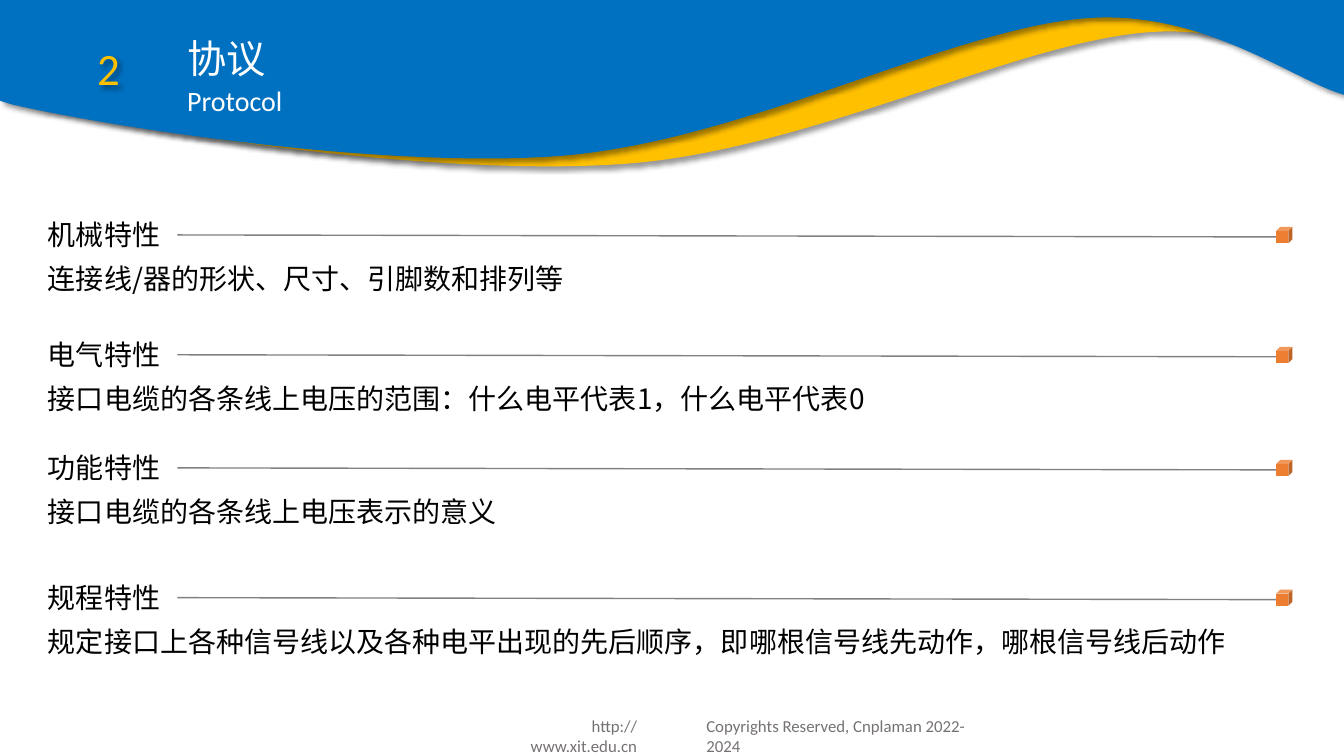
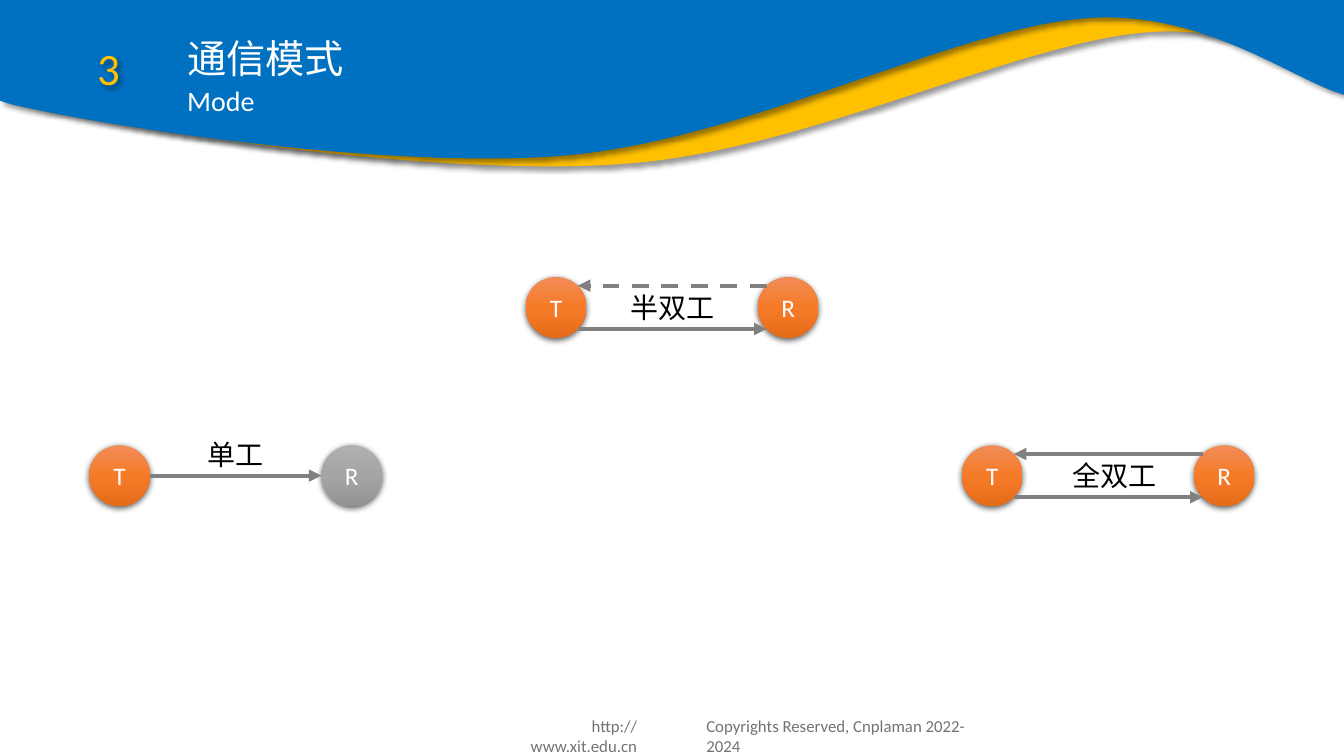
from copy import deepcopy
from dataclasses import dataclass

from lxml import etree
from pptx import Presentation
from pptx.dml.color import RGBColor
from pptx.enum import dml, shapes, text
from pptx.oxml import ns
from pptx.util import Cm, Pt

ALIGN = text.PP_ALIGN
ANCHOR = text.MSO_ANCHOR
SHAPE = shapes.MSO_SHAPE


@dataclass(frozen=True)
class Theme:
    wide: float = 33.87
    high: float = 19.05
    latin: str = "Calibri"
    hans: str = "Noto Sans CJK SC"
    blue: str = "0070C0"
    gold: str = "FFC000"
    white: str = "FFFFFF"
    black: str = "000000"
    grey: str = "808080"
    foot: str = "767171"
    cube: str = "ED7D31"
    warm: tuple = ("F18C57", "F67B28", "E56C19")
    cool: tuple = ("AFAFAF", "A5A5A5", "939393")
    title: int = 28
    body: int = 20
    number: int = 32
    node: int = 18
    small: int = 12
    # opacity in percent, blur and distance in points, angle in degrees
    cast: tuple = (40, 4, 3, 45)
    drop: tuple = (63, 4.5, 1.5, 90)


T = Theme()

# Placeholder index: left, top, width, height
HEAD = {
    0: (4.46, 0.73, 16.92, 1.45),
    1: (4.46, 1.98, 15.19, 1.12),
    2: (1.45, 1.04, 2.57, 1.5),
}

# Two numbers are a point, six are a Bezier curve
GOLD_WAVE = [
    (0.56, 0), (33.87, 0), (33.87, 1.98), (33.35, 1.73),
    (32.16, 1.22, 30.68, 0.69, 28.98, 0.81),
    (25.6, 1.04, 20.27, 3.86, 15.57, 4.14),
    (10.87, 4.45, 3.28, 3.3, 0.81, 2.62),
    (0.64, 2.57, 0.48, 2.52, 0.33, 2.46),
    (0, 2.36), (0, 0.05),
]
BLUE_WAVE = [
    (0, 0), (33.87, 0), (33.87, 2.39), (33.63, 2.31),
    (32.28, 1.8, 30.15, 0.25, 27.38, 0.46),
    (23.95, 0.71, 18.64, 3.63, 13.97, 3.94),
    (9.86, 4.22, 3.53, 3.35, 0.33, 2.64),
    (0, 2.54),
]

TRAITS = [
    (5.36, "机械特性", "连接线/器的形状、尺寸、引脚数和排列等"),
    (8.38, "电气特性", "接口电缆的各条线上电压的范围：什么电平代表1，什么电平代表0"),
    (11.23, "功能特性", "接口电缆的各条线上电压表示的意义"),
    (14.5, "规程特性",
     "规定接口上各种信号线以及各种电平出现的先后顺序，即哪根信号线先动作，哪根信号线后动作"),
]


def color(code):
    return RGBColor.from_string(code)


def node(parent, tag, **attrs):
    """Append a DrawingML element to parent."""
    kid = etree.SubElement(parent, ns.qn(tag))
    for key, value in attrs.items():
        kid.set(key, str(value))
    return kid


def shade(shape, alpha, blur, dist, angle):
    shape.shadow.inherit = False
    effects = shape.element.spPr.find(ns.qn("a:effectLst"))
    outer = node(effects, "a:outerShdw", blurRad=Pt(blur), dist=Pt(dist),
                 dir=angle * 60000, algn="ctr", rotWithShape=0)
    ink = node(outer, "a:srgbClr", val=T.black)
    node(ink, "a:alpha", val=alpha * 1000)


def write(shape, words, size=T.body, font=T.hans, ink=T.black,
          align=ALIGN.LEFT, anchor=ANCHOR.TOP, wrap=True, plain=False,
          space=1.0):
    """Set the text of a shape; plain drops the bullet and indent."""
    frame = shape.text_frame
    frame.word_wrap = wrap
    frame.auto_size = text.MSO_AUTO_SIZE.NONE
    frame.vertical_anchor = anchor
    para = frame.paragraphs[0]
    if plain:
        props = para._p.get_or_add_pPr()
        props.set("marL", "0")
        props.set("indent", "0")
        node(props, "a:buNone")
    para.alignment = align
    para.line_spacing = space
    para.space_before = Pt(0)
    run = para.add_run()
    run.text = words
    run.font.size = Pt(size)
    run.font.name = font
    run.font.color.rgb = color(ink)
    node(run._r.get_or_add_rPr(), "a:ea", typeface=font)


def label(slide, words, box, **style):
    shape = slide.shapes.add_textbox(*map(Cm, box))
    write(shape, words, **style)
    return shape


def form(slide, kind, box):
    """Add a preset shape without line or shadow."""
    shape = slide.shapes.add_shape(kind, *map(Cm, box))
    shape.line.fill.background()
    shape.shadow.inherit = False
    return shape


def line(slide, start, end, width=1, arrow=False, dash=False):
    link = slide.shapes.add_connector(
        shapes.MSO_CONNECTOR.STRAIGHT, *map(Cm, start + end))
    link.line.color.rgb = color(T.grey)
    link.line.width = Pt(width)
    if dash:
        link.line.dash_style = dml.MSO_LINE.DASH
    if arrow:
        node(link.line._get_or_add_ln(), "a:tailEnd", type="triangle")
    node(link.element.spPr, "a:effectLst")


def bend(shape, steps):
    """Turn the straight segments that have handles into Bezier curves."""
    segments = shape.element.xpath(".//a:path/a:lnTo")
    for segment, step in zip(segments, steps):
        if len(step) == 6:
            curve = etree.Element(ns.qn("a:cubicBezTo"))
            for x, y in zip(step[::2], step[1::2]):
                node(curve, "a:pt", x=Cm(x), y=Cm(y))
            segment.getparent().replace(segment, curve)


def wave(slide, steps, fill):
    """Draw a band whose outline starts at the slide's top left corner."""
    first, *rest = [tuple(map(Cm, step[-2:])) for step in steps]
    pen = slide.shapes.build_freeform(*first)
    pen.add_line_segments(rest, close=True)
    shape = pen.convert_to_shape()
    bend(shape, steps[1:])
    shape.fill.solid()
    shape.fill.fore_color.rgb = color(fill)
    shape.line.fill.background()
    shade(shape, *T.cast)
    return shape


def dress(layout, slide):
    """Place the layout's heads and move bands and footers into it."""
    for holder in list(layout.placeholders):
        box = HEAD.get(holder.placeholder_format.idx)
        if box:
            (holder.left, holder.top,
             holder.width, holder.height) = map(Cm, box)
        else:
            layout.shapes.element.remove(holder.element)
    style = dict(size=T.small, font=T.latin, ink=T.foot)
    parts = [
        label(slide, "Copyrights Reserved, Cnplaman 2022-2024",
              (17.55, 17.91, 7.32, 0.76), **style),
        label(slide, "http://www.xit.edu.cn",
              (12.32, 17.91, 3.99, 0.76), align=ALIGN.RIGHT, **style),
        wave(slide, GOLD_WAVE, T.gold),
        wave(slide, BLUE_WAVE, T.blue),
    ]
    for index, part in enumerate(parts, 100):
        part.element.xpath(".//p:cNvPr")[0].set("id", str(index))
        layout.shapes.element.append(part.element)


def head(slide, number, title, sub):
    write(slide.shapes.title, title, size=T.title, ink=T.white, plain=True)
    write(slide.placeholders[1], sub, font=T.latin, ink=T.white, plain=True)
    mark = slide.placeholders[2]
    write(mark, number, size=T.number, font=T.latin, ink=T.gold, plain=True,
          align=ALIGN.CENTER, anchor=ANCHOR.MIDDLE, space=0.9)
    shade(mark, *T.cast)


def trait(slide, top, name, words):
    left, tall, stop = 0.96, 1.11, 32.16
    label(slide, name, (left, top, 3.51, tall))
    label(slide, words, (left, top + tall, 31.6, tall))
    line(slide, (4.47, top + 0.56), (stop, top + 0.61))
    cube = form(slide, SHAPE.CUBE, (stop, top + 0.36, 0.41, 0.41))
    cube.fill.solid()
    cube.fill.fore_color.rgb = color(T.cube)


def ball(slide, letter, x, y, size, tones):
    shape = form(slide, SHAPE.OVAL, (x, y, size, size))
    fill = shape.fill
    fill.gradient()
    fill.gradient_angle = 270
    stops = shape.element.xpath(".//a:gsLst")[0]
    stops.insert(1, deepcopy(stops[0]))
    for stop, place, tone in zip(fill.gradient_stops, (0, 0.5, 1), tones):
        stop.position = place
        stop.color.rgb = color(tone)
    shade(shape, *T.drop)
    write(shape, letter, size=T.node, font=T.latin, ink=T.white,
          align=ALIGN.CENTER, anchor=ANCHOR.MIDDLE, wrap=False)


def mode(slide, name, x, y, wide, back=True, dash=False, nudge=0):
    """Draw sender and receiver; back adds the returning arrow."""
    size, gap, edge = 1.53, 5.85, 0.22
    ball(slide, "T", x, y, size, T.warm)
    ball(slide, "R", x + gap, y, size, T.warm if back else T.cool)
    style = dict(width=3, arrow=True)
    if back:
        near, far = x + size - edge, x + gap + edge
        low, high = y + size - edge, y + edge
        line(slide, (near, low), (far, low), **style)
        line(slide, (far, high), (near, high), dash=dash, **style)
    else:
        mid = y + size / 2
        line(slide, (x + size, mid), (x + gap, mid), **style)
    top = y + 0.21 if back else y - 0.33
    label(slide, name, (x + (gap + size - wide) / 2 + nudge, top, wide, 1.12),
          align=ALIGN.CENTER, wrap=False)


def main():
    deck = Presentation()
    deck.slide_width, deck.slide_height = Cm(T.wide), Cm(T.high)
    layout = deck.slide_layouts[3]

    rules = deck.slides.add_slide(layout)
    dress(layout, rules)
    head(rules, "2", "协议", "Protocol")
    for row in TRAITS:
        trait(rules, *row)

    modes = deck.slides.add_slide(layout)
    head(modes, "3", "通信模式", "Mode")
    mode(modes, "单工", 2.25, 11.22, 1.93, back=False)
    mode(modes, "半双工", 13.25, 6.98, 2.64, dash=True)
    mode(modes, "全双工", 24.24, 11.22, 2.64, nudge=0.16)

    deck.save("out.pptx")


if __name__ == "__main__":
    main()
